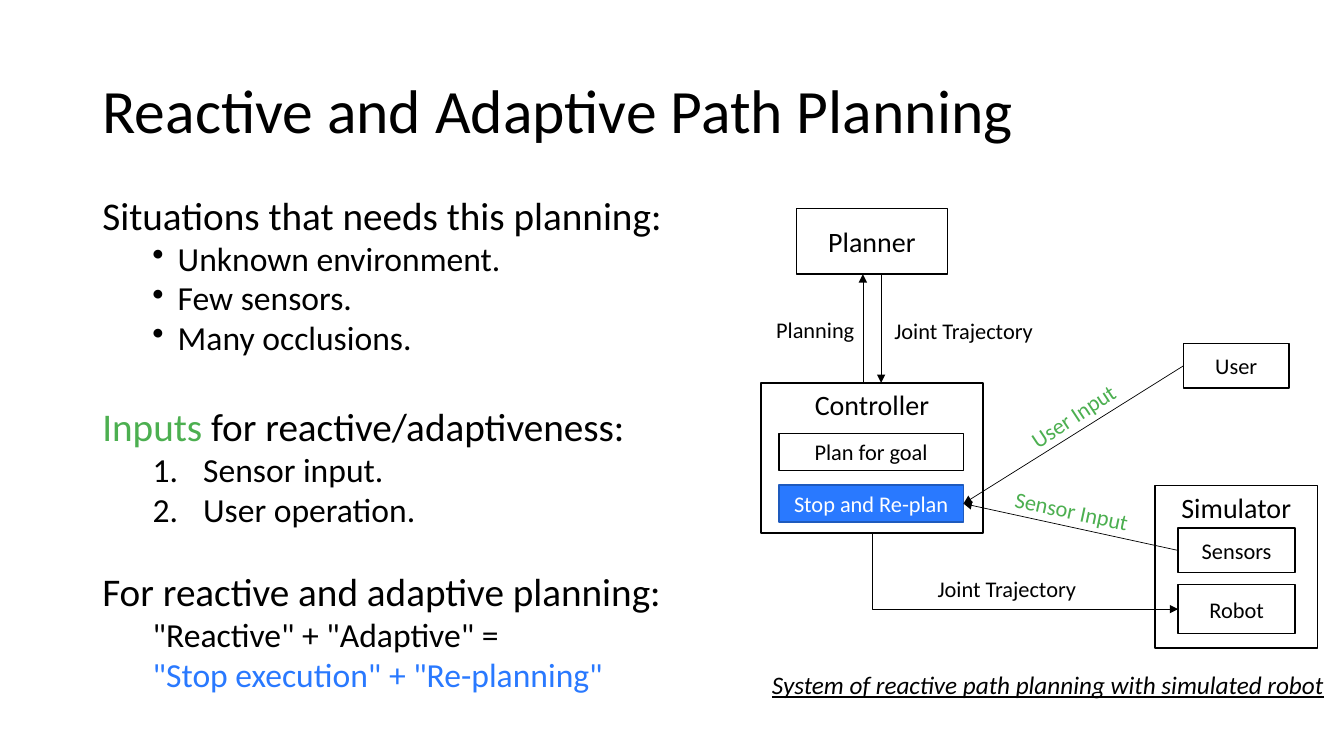
import pptx
import pptx.util
import pptx.dml.color
import pptx.enum.shapes
import pptx.enum.text
import pptx.oxml
import pptx.oxml.ns
from dataclasses import dataclass

Cm = pptx.util.Cm
Pt = pptx.util.Pt
qn = pptx.oxml.ns.qn
Align = pptx.enum.text.PP_ALIGN
Anchor = pptx.enum.text.MSO_ANCHOR
Link = pptx.enum.shapes.MSO_CONNECTOR


@dataclass
class Theme:
    face: str = "Calibri"
    black: str = "000000"
    white: str = "FFFFFF"
    green: str = "4CAF50"
    blue: str = "2979FF"
    navy: str = "1E5ABD"
    title: int = 44
    head: int = 28
    item: int = 24
    node: int = 20
    small: int = 16
    note: int = 18


theme = Theme()
TITLE = "Reactive and Adaptive Path Planning"

# kind, space before, runs
BODY = [
    ("head", 0, [("Situations that needs this planning:", theme.black)]),
    ("dot", 0, [("Unknown environment.", theme.black)]),
    ("dot", 0, [("Few sensors.", theme.black)]),
    ("dot", 0, [("Many occlusions.", theme.black)]),
    ("head", 33.5, [("Inputs", theme.green),
                    (" for reactive/adaptiveness:", theme.black)]),
    ("num", 0, [("Sensor input.", theme.black)]),
    ("num", 0, [("User operation.", theme.black)]),
    ("head", 28.5, [("For reactive and adaptive planning:", theme.black)]),
    ("plain", 0, [('"Reactive" + "Adaptive" =', theme.black)]),
    ("plain", 0, [('"Stop execution" + "Re-planning"', theme.blue)]),
]

# size, left margin, first-line indent, bullet
KINDS = {
    "head": (theme.head, 0, 0, "<a:buNone %s/>"),
    "dot": (theme.item, 1.9, -0.64, '<a:buChar %s char="•"/>'),
    "num": (theme.item, 2.54, -1.27, '<a:buAutoNum %s type="arabicPeriod"/>'),
    "plain": (theme.item, 1.27, 0, "<a:buNone %s/>"),
}

# name, place, size, anchor
BOXES = [
    ("Simulator", (29.11, 12.24, 4.09, 4.09), theme.node, Anchor.TOP),
    ("Robot", (29.69, 14.73, 2.95, 1.24), theme.small, Anchor.MIDDLE),
    ("Sensors", (29.69, 13.31, 2.95, 1.12), theme.small, Anchor.MIDDLE),
    ("Planner", (20.07, 5.26, 3.81, 1.65), theme.node, Anchor.MIDDLE),
    ("Controller", (19.18, 9.65, 5.59, 3.78), theme.node, Anchor.TOP),
    ("Plan for goal", (19.63, 10.92, 4.65, 0.94), theme.small, Anchor.MIDDLE),
    ("Stop and Re-plan", (19.63, 12.22, 4.65, 0.94), theme.small, Anchor.MIDDLE),
    ("User", (29.82, 8.66, 2.67, 1.12), theme.small, Anchor.MIDDLE),
]
ACCENT = "Stop and Re-plan"

# text, place, turn, colour
LABELS = [
    ("Planning", (18.87, 7.85, 3.35, 0.94), 0, theme.black),
    ("Joint Trajectory", (22.15, 7.87, 4.27, 0.94), 0, theme.black),
    ("Joint Trajectory", (23.24, 14.38, 4.27, 0.94), 0, theme.black),
    ("User Input", (25.37, 10.01, 3.35, 0.94), 326.6, theme.green),
    ("Sensor Input", (25.27, 12.4, 3.48, 0.94), 12.1, theme.green),
]
NOTE = "System of reactive path planning with simulated robot"
INPUTS = ["User", "Sensors"]
SHIFT = 0.23


def rgb(code):
    return pptx.dml.color.RGBColor.from_string(code)


def style(font, size, color=theme.black):
    font.name = theme.face
    font.size = Pt(size)
    font.color.rgb = rgb(color)


def write(shape, text, size, color, anchor=Anchor.TOP):
    frame = shape.text_frame
    frame.word_wrap = True
    frame.vertical_anchor = anchor
    para = frame.paragraphs[0]
    para.text = text
    para.alignment = Align.CENTER
    style(para.font, size, color)
    return para


def add_text(slide, place):
    return slide.shapes.add_textbox(*map(Cm, place))


def add_box(slide, name, place, size, anchor):
    lit = name == ACCENT
    kind = pptx.enum.shapes.MSO_SHAPE.RECTANGLE
    box = slide.shapes.add_shape(kind, *map(Cm, place))
    box.shadow.inherit = False
    box.fill.solid()
    box.fill.fore_color.rgb = rgb(theme.blue if lit else theme.white)
    box.line.color.rgb = rgb(theme.navy if lit else theme.black)
    box.line.width = Pt(1)
    write(box, name, size, theme.white if lit else theme.black, anchor)
    return box


def add_arrow(slide, start, end, kind=Link.STRAIGHT):
    arrow = slide.shapes.add_connector(kind, *start, *end)
    arrow.line.color.rgb = rgb(theme.black)
    arrow.line.width = Pt(0.5)
    props = arrow._element.spPr
    tip = pptx.oxml.parse_xml(
        '<a:tailEnd %s type="triangle"/>' % pptx.oxml.ns.nsdecls("a"))
    props.find(qn("a:ln")).append(tip)
    props.append(pptx.oxml.parse_xml(
        "<a:effectLst %s/>" % pptx.oxml.ns.nsdecls("a")))
    return arrow


def join(slide, first, side, last, edge, kind=Link.STRAIGHT):
    arrow = add_arrow(slide, (0, 0), (0, 0), kind)
    arrow.begin_connect(first, side)
    arrow.end_connect(last, edge)
    return arrow


def add_bend(slide, first, last):
    arrow = join(slide, first, 2, last, 1, Link.ELBOW)
    x, y = first.left + first.width // 2, first.top + first.height
    wide = last.left - x
    high = last.top + last.height // 2 - y
    arrow.left, arrow.top = x + (wide - high) // 2, y + (high - wide) // 2
    arrow.width, arrow.height = high, wide
    props = arrow._element.spPr
    props.find(qn("a:prstGeom")).set("prst", "bentConnector2")
    frame = props.find(qn("a:xfrm"))
    frame.set("rot", str(270 * 60000))
    frame.set("flipH", "1")


def add_body(slide):
    frame = add_text(slide, (2.33, 4.75, 16.54, 13.03)).text_frame
    frame.word_wrap = True
    for i, (kind, gap, runs) in enumerate(BODY):
        para = frame.add_paragraph() if i else frame.paragraphs[0]
        size, left, dent, mark = KINDS[kind]
        props = para._p.get_or_add_pPr()
        props.set("marL", str(Cm(left)))
        props.set("indent", str(Cm(dent)))
        props.append(pptx.oxml.parse_xml(mark % pptx.oxml.ns.nsdecls("a")))
        para.line_spacing = 0.98
        para.space_before = Pt(gap)
        style(para.font, size, runs[0][1])
        for text, color in runs:
            run = para.add_run()
            run.text = text
            if len(runs) > 1:
                run.font.color.rgb = rgb(color)


def add_title(slide):
    title = slide.shapes.title
    title.left, title.top, title.width, title.height = map(
        Cm, (2.33, 1.01, 29.21, 3.68))
    para = write(title, TITLE, theme.title, theme.black, Anchor.MIDDLE)
    para.alignment = Align.LEFT
    para.line_spacing = 0.9


def main():
    deck = pptx.Presentation()
    deck.slide_width, deck.slide_height = Cm(33.87), Cm(19.05)
    slide = deck.slides.add_slide(deck.slide_layouts[5])
    add_title(slide)
    add_body(slide)
    nodes = {row[0]: add_box(slide, *row) for row in BOXES}

    plan, control = nodes["Planner"], nodes["Controller"]
    mid = control.left + control.width // 2
    low, high = control.top, plan.top + plan.height
    add_arrow(slide, (mid - Cm(SHIFT), low), (mid - Cm(SHIFT), high))
    add_arrow(slide, (mid + Cm(SHIFT), high), (mid + Cm(SHIFT), low))
    for name in INPUTS:
        join(slide, nodes[name], 1, nodes[ACCENT], 3)
    add_bend(slide, control, nodes["Robot"])

    for text, place, turn, color in LABELS:
        label = add_text(slide, place)
        label.rotation = turn
        write(label, text, theme.small, color)
    note = write(add_text(slide, (19.02, 16.74, 14.78, 1.02)),
                 NOTE, theme.note, theme.black)
    note.font.italic = True
    note.font.underline = True
    deck.save("out.pptx")


if __name__ == "__main__":
    main()
